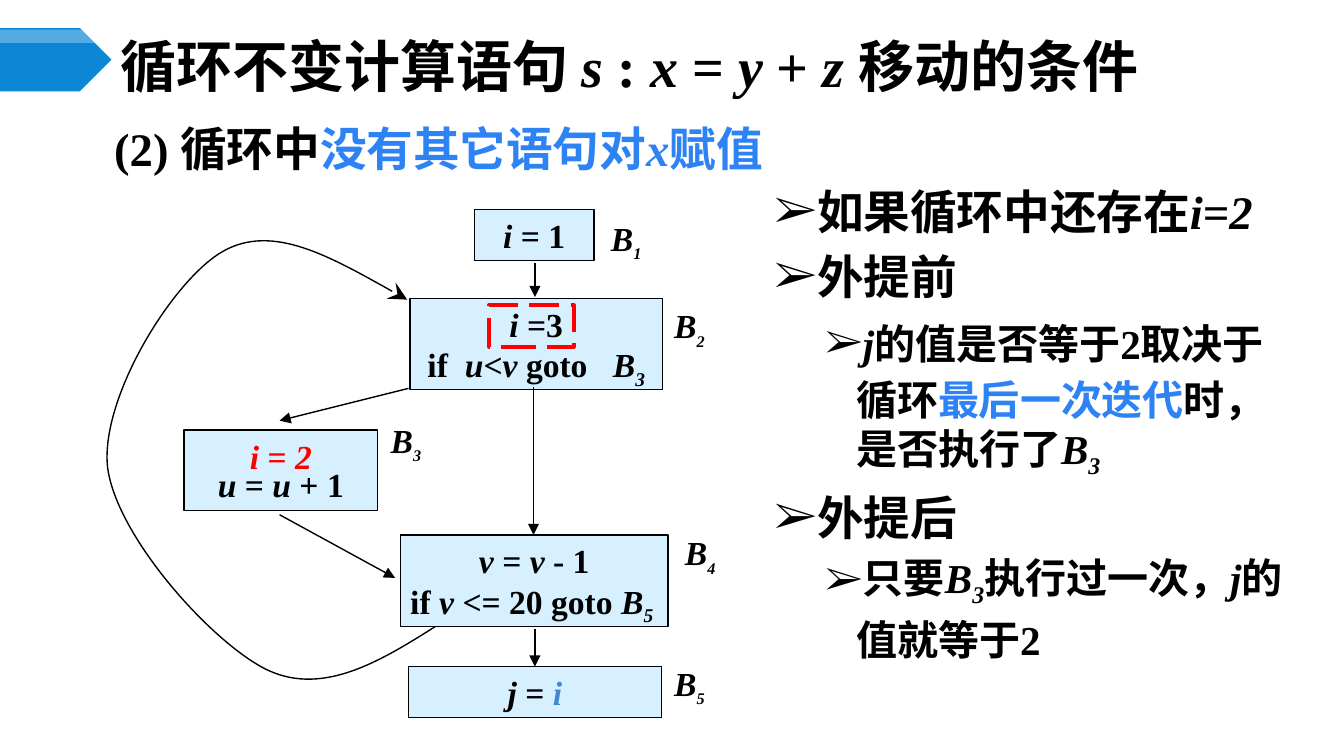
from lxml.etree import SubElement
from pptx import Presentation
from pptx.dml.color import RGBColor
from pptx.enum.dml import MSO_LINE
from pptx.enum.shapes import MSO_CONNECTOR, MSO_SHAPE
from pptx.enum.text import MSO_ANCHOR, MSO_AUTO_SIZE, PP_ALIGN
from pptx.oxml.ns import qn
from pptx.util import Pt

PX = 9144
BLACK = RGBColor(0, 0, 0)
WHITE = RGBColor(255, 255, 255)
RED = RGBColor(255, 0, 0)
BLUE = RGBColor(0x2D, 0x83, 0xF4)
STEEL = RGBColor(0x45, 0x84, 0xD3)
PALE = RGBColor(0xD6, 0xF0, 0xFF)
BADGE = RGBColor(0x0B, 0x87, 0xD6)


def frame(shape, anchor, wrap=True):
    text = shape.text_frame
    text.auto_size = MSO_AUTO_SIZE.NONE
    text.word_wrap = wrap
    text.vertical_anchor = anchor
    text.margin_left = text.margin_right = 7 * PX
    text.margin_top = text.margin_bottom = 4 * PX
    return text


def write(para, runs, size, small=None, drop=-25):
    for words, marks, color in runs:
        run = para.add_run()
        run.text = words
        font = run.font
        font.name = "Times New Roman"
        SubElement(run._r.rPr, qn("a:ea")).set("typeface", "Noto Sans CJK SC")
        font.size = Pt(size)
        font.bold = True
        font.italic = "i" in marks
        font.color.rgb = color
        if "s" in marks:
            font.size = Pt(small or size)
            run._r.rPr.set("baseline", str(drop * 1000))
        if "w" in marks:
            run._r.rPr.set("spc", str(450 * marks.count("w")))


deck = Presentation()
deck.slide_width = 1000 * PX
deck.slide_height = deck.slide_width * 9 // 16
slide = deck.slides.add_slide(deck.slide_layouts[1])
shapes = slide.shapes

for top, height, color in [(21, 47, BADGE), (22, 10, WHITE)]:
    flag = shapes.add_shape(MSO_SHAPE.PENTAGON, 0, top * PX, 83 * PX, height * PX)
    flag.shadow.inherit = False
    flag.fill.solid()
    flag.fill.fore_color.rgb = color
    flag.line.fill.background()
tint = flag._element.spPr.find(qn("a:solidFill"))[0]
SubElement(tint, qn("a:alpha")).set("val", "30000")

title = shapes.title
title.left, title.top, title.width, title.height = 83 * PX, 29 * PX, 867 * PX, 39 * PX
para = frame(title, MSO_ANCHOR.MIDDLE).paragraphs[0]
para.alignment = PP_ALIGN.LEFT
write(para, [("循环不变计算语句 ", "", BLACK), ("s ", "i", BLACK), (": ", "", BLACK),
             ("x ", "i", BLACK), ("= ", "", BLACK), ("y ", "i", BLACK),
             ("+ ", "", BLACK), ("z ", "i", BLACK), ("移动的条件", "", BLACK)], 30)

body = slide.placeholders[1]
body.left, body.top, body.width, body.height = 78 * PX, 85 * PX, 648 * PX, 353 * PX
para = frame(body, MSO_ANCHOR.TOP).paragraphs[0]
para.space_before = Pt(0)
props = para._p.get_or_add_pPr()
props.set("marL", str(30 * PX))
props.set("indent", str(-30 * PX))
SubElement(props, qn("a:buNone"))
write(para, [("(2) 循环中", "", BLACK), ("没有其它语句对", "", BLUE),
             ("x", "i", BLUE), ("赋值", "", BLUE)], 25)

points = [
    (0, [("如果循环中还存在", "", BLACK), ("i=2", "i", BLACK)]),
    (0, [("外提前", "", BLACK)]),
    (1, [("j", "i", BLACK), ("的值是否等于2取决于循环", "", BLACK),
         ("最后一次迭代", "", BLUE), ("时，是否执行了", "", BLACK),
         ("B", "i", BLACK), ("3", "is", BLACK)]),
    (0, [("外提后", "", BLACK)]),
    (1, [("只要", "", BLACK), ("B", "i", BLACK), ("3", "is", BLACK),
         ("执行过一次，", "", BLACK), ("j", "i", BLACK), ("的值就等于2", "", BLACK)]),
]
notes = frame(shapes.add_textbox(569 * PX, 132 * PX, 396 * PX, 399 * PX), MSO_ANCHOR.TOP)
for order, (level, runs) in enumerate(points):
    para = notes.add_paragraph() if order else notes.paragraphs[0]
    size, left, hang = [(25, 28, 28), (22, 61, 23)][level]
    para.level = level
    para.line_spacing = Pt(30)
    para.space_before = Pt(size // 5 if order else 0)
    props = para._p.get_or_add_pPr()
    props.set("marL", str(left * PX))
    props.set("indent", str(-hang * PX))
    SubElement(props, qn("a:buFont")).set("typeface", "Times New Roman")
    SubElement(props, qn("a:buChar")).set("char", "➢")
    write(para, runs, size)

path = [(285, 491), (242, 518), (200, 499), (159, 480), (86, 399), (80, 347),
        (75, 295), (129, 208), (166, 187), (203, 166), (253, 195), (303, 223)]
pen = shapes.build_freeform(329, 463, scale=PX)
pen.add_line_segments(path, close=False)
loop = pen.convert_to_shape()
loop.fill.background()
track = loop._element.spPr.find(".//" + qn("a:path"))
steps = track.findall(qn("a:lnTo"))
for start in range(0, len(steps), 3):
    curve = SubElement(track, qn("a:cubicBezTo"))
    for step in steps[start:start + 3]:
        curve.append(step[0])
        track.remove(step)

blocks = [
    (353, 156, 89, 38, [[("i ", "i", BLACK), ("= 1", "", BLACK)]]),
    (305, 222, 188, 68, [
        [("i", "i", BLACK), (" =3", "", BLACK)],
        [("if", "", BLACK), (" ", "w", BLACK), ("u", "i", BLACK), ("<", "", BLACK),
         ("v ", "i", BLACK), ("goto", "", BLACK), (" ", "ww", BLACK),
         ("B", "i", BLACK), ("3", "is", BLACK)]]),
    (137, 320, 144, 60, [
        [("i", "i", RED), (" = ", "", RED), ("2", "i", RED)],
        [("u", "i", BLACK), (" = ", "", BLACK), ("u", "i", BLACK), (" + 1", "", BLACK)]]),
    (298, 398, 199, 68, [
        [("v ", "i", BLACK), ("= ", "", BLACK), ("v", "i", BLACK), (" - 1", "", BLACK)],
        [("if ", "", BLACK), ("v ", "i", BLACK), ("<= 20 goto ", "", BLACK),
         ("B", "i", BLACK), ("5 ", "is", BLACK)]]),
    (304, 496, 188, 38, [[("j ", "i", BLACK), ("= ", "", BLACK), ("i", "i", STEEL)]]),
]
for left, top, width, height, rows in blocks:
    block = shapes.add_shape(MSO_SHAPE.RECTANGLE, left * PX, top * PX, width * PX, height * PX)
    block.shadow.inherit = False
    block.fill.solid()
    block.fill.fore_color.rgb = PALE
    block.line.color.rgb = BLACK
    block.line.width = Pt(0.75)
    tight = height == 60
    text = frame(block, MSO_ANCHOR.MIDDLE if tight else MSO_ANCHOR.TOP)
    for order, runs in enumerate(rows):
        para = text.add_paragraph() if order else text.paragraphs[0]
        para.alignment = PP_ALIGN.CENTER
        if order and tight:
            para.line_spacing = Pt(15)
        write(para, runs, 18)

lines = [(loop, "stealth", "lg")]
for ends in [(398, 196, 398, 221), (397, 288, 397, 398), (398, 468, 398, 496),
             (208, 383, 294, 430), (304, 289, 208, 313)]:
    arrow = shapes.add_connector(MSO_CONNECTOR.STRAIGHT, *[end * PX for end in ends])
    lines.append((arrow, "triangle", "med"))
for line, head, size in lines:
    line.line.color.rgb = BLACK
    line.line.width = Pt(0.75)
    props = line._element.spPr
    SubElement(props.find(qn("a:ln")), qn("a:tailEnd"), type=head, w=size, len=size)
    SubElement(props, qn("a:effectLst"))

tags = [(451, 164), (498, 229), (287, 314), (506, 398), (498, 495)]
for digit, (left, top) in enumerate(tags, 1):
    tag = shapes.add_textbox(left * PX, top * PX, 30 * PX, 30 * PX)
    para = frame(tag, MSO_ANCHOR.MIDDLE, False).paragraphs[0]
    para.alignment = PP_ALIGN.CENTER
    write(para, [("B", "i", BLACK), (str(digit), "is", BLACK)], 18, 15, -30)

dash = shapes.add_shape(MSO_SHAPE.RECTANGLE, 364 * PX, 227 * PX, 63 * PX, 31 * PX)
dash.shadow.inherit = False
dash.fill.background()
dash.line.color.rgb = RED
dash.line.width = Pt(2)
dash.line.dash_style = MSO_LINE.LONG_DASH

deck.save("out.pptx")
